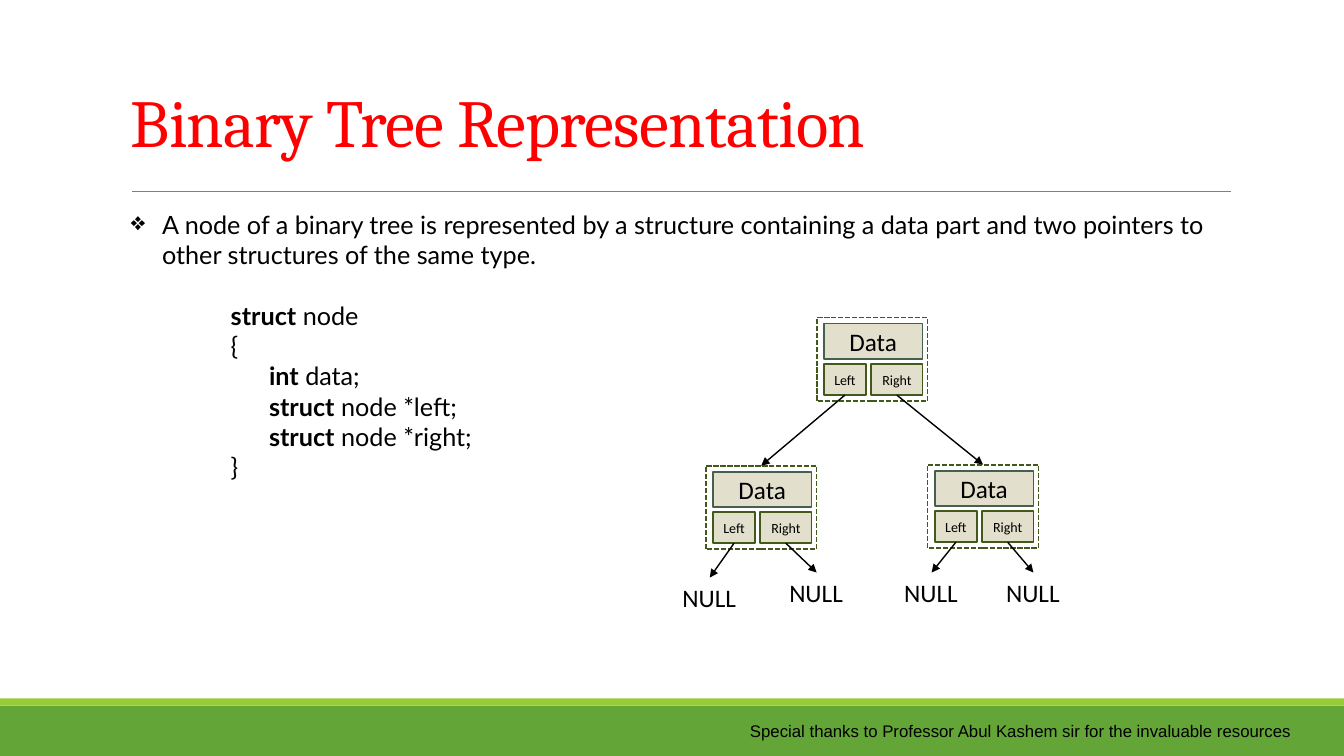
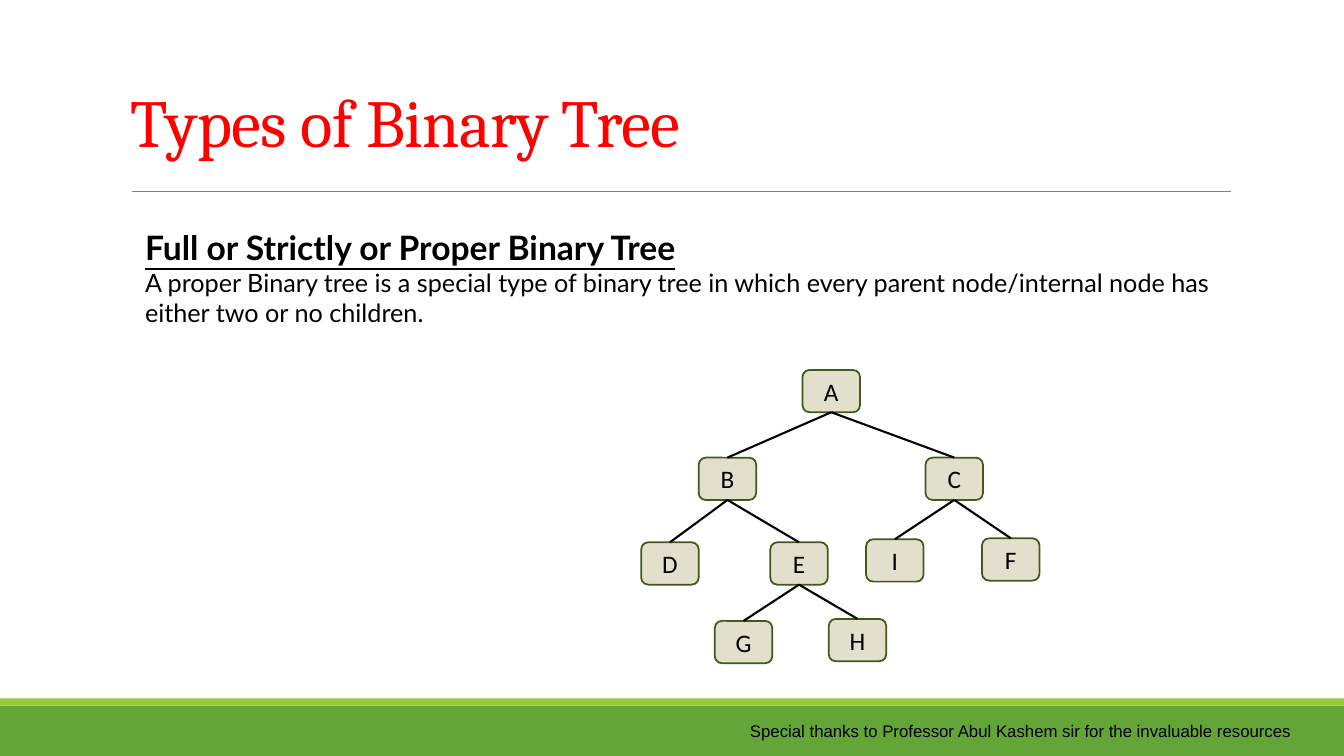
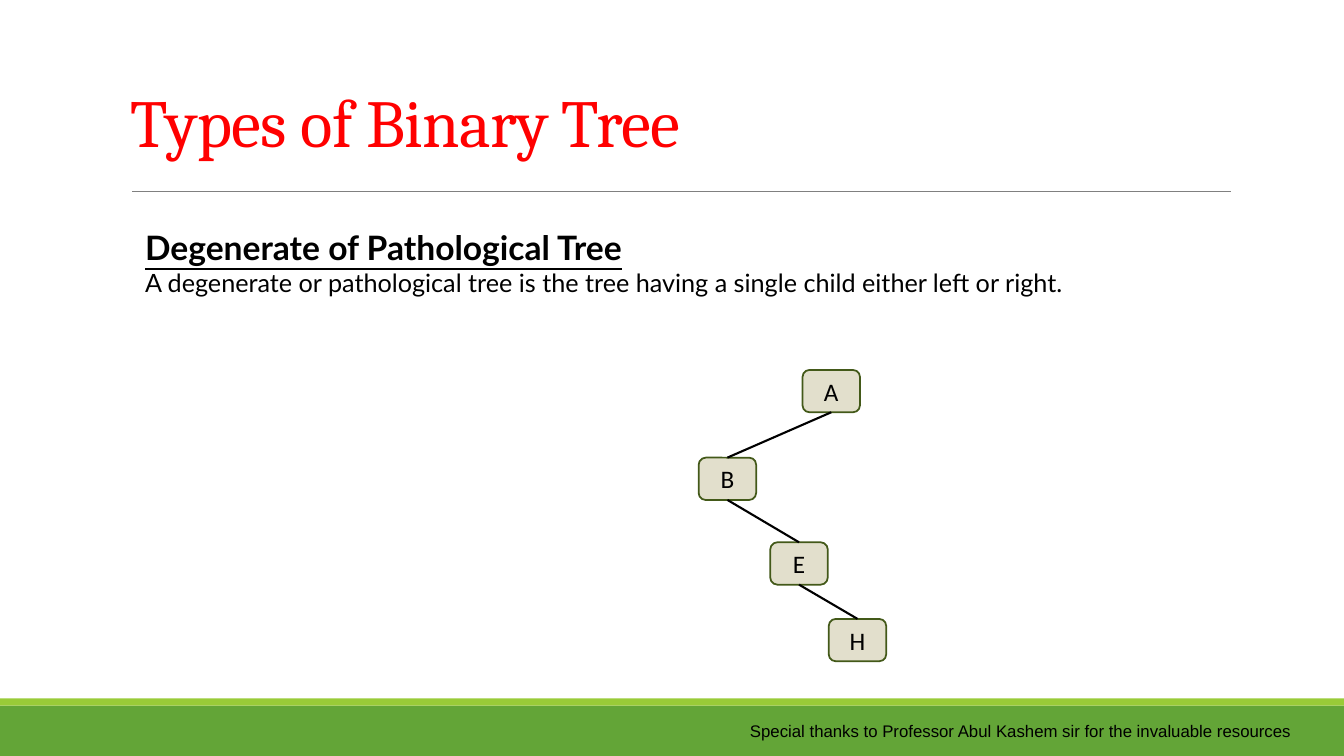
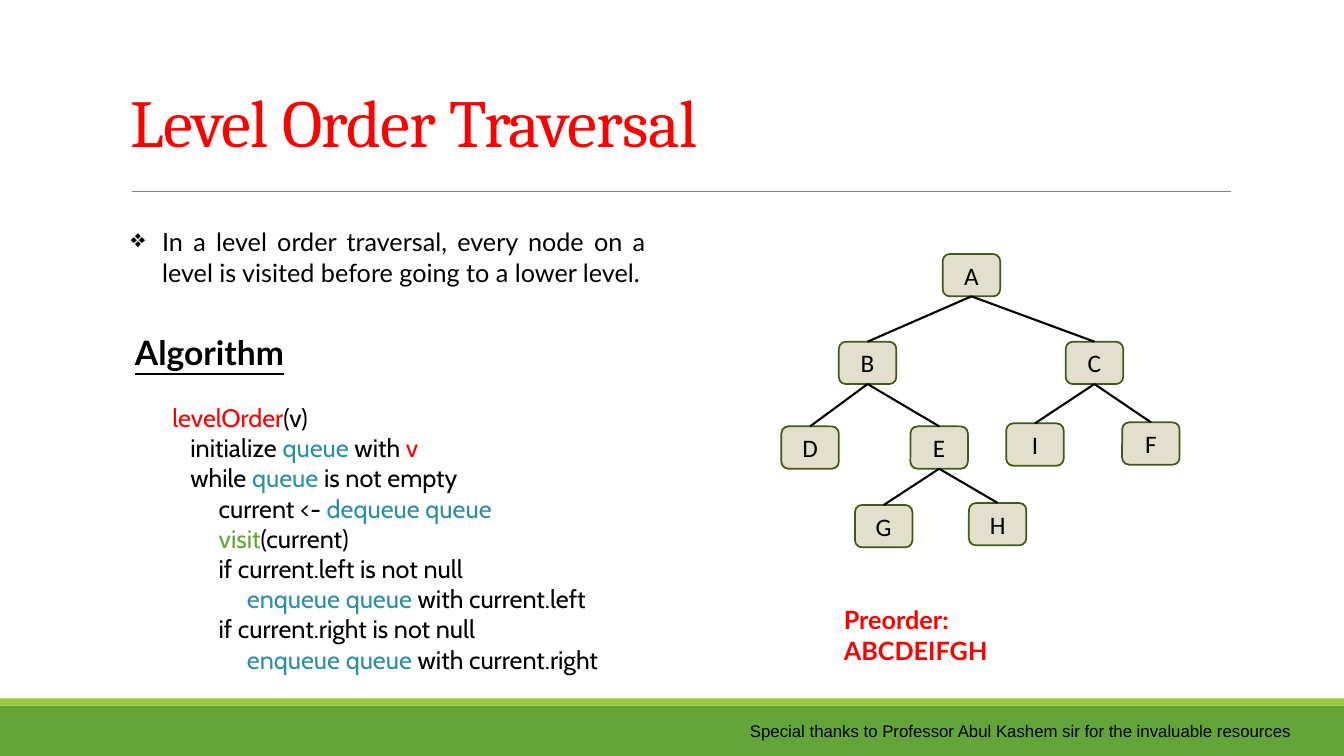
import pptx
import pptx.dml.color
import pptx.enum.dml
import pptx.enum.shapes
import pptx.enum.text
import pptx.oxml.ns
import pptx.util
from dataclasses import dataclass
from lxml import etree

Inches = pptx.util.Inches
Pt = pptx.util.Pt
ALIGN = pptx.enum.text.PP_ALIGN
ANCHOR = pptx.enum.text.MSO_ANCHOR
SHAPE = pptx.enum.shapes.MSO_SHAPE
TOP, BOTTOM = 0, 2

COLOURS = {
    "text": "000000", "title": "FF0000", "rule": "808080",
    "band": "63A537", "stripe": "99CB38",
    "node": "E2DFCC", "border": "435919", "data_border": "455F51",
    "call": "FF0000", "queue": "2E8EA8", "visit": "63A537",
}
LINE_GAP = 21.6
THANKS = "Special thanks to Professor Abul Kashem sir for the invaluable resources"

NODES = {
    "A": (1.6, 0), "B": (0.57, 0.87), "C": (2.82, 0.87),
    "D": (0, 1.71), "E": (1.28, 1.71), "F": (3.38, 1.67), "I": (2.23, 1.68),
    "H": (1.86, 2.47), "G": (0.73, 2.49),
}
FULL_TREE = ["AB", "AC", "BD", "BE", "CF", "CI", "EH", "EG"]
SINGLE_CHILD_TREE = ["AB", "BE", "EH"]


@dataclass
class Run:
    text: str
    size: float = 18
    font: str = "Lato"
    colour: str = "text"
    bold: bool = False
    underline: bool = False
    spacing: float = 0


@dataclass
class Para:
    runs: list
    indent: float = 0
    bullet: str = ""
    before: float = 0
    align: object = ALIGN.LEFT
    line_spacing: float = 1.0


def rgb(name):
    return pptx.dml.color.RGBColor.from_string(COLOURS[name])


def add_xml(parent, tag, **attributes):
    return etree.SubElement(parent, pptx.oxml.ns.qn(tag), attributes)


def write(frame, paras):
    for i, para in enumerate(paras):
        paragraph = frame.paragraphs[0] if i == 0 else frame.add_paragraph()
        paragraph.alignment = para.align
        paragraph.space_before = Pt(para.before)
        paragraph.line_spacing = para.line_spacing
        properties = paragraph._p.get_or_add_pPr()
        properties.set("marL", str(Inches(para.indent)))
        if para.bullet:
            properties.set("indent", str(-Inches(para.indent)))
            add_xml(properties, "a:buChar", char=para.bullet)
        for part in para.runs:
            run = paragraph.add_run()
            run.text = part.text
            run.font.size = Pt(part.size)
            run.font.name = part.font
            run.font.bold = part.bold
            run.font.underline = part.underline
            run.font.color.rgb = rgb(part.colour)
            if part.spacing:
                run._r.get_or_add_rPr().set("spc", str(int(part.spacing * 100)))


def add_text(slide, box, paras, wrap=True, anchor=ANCHOR.TOP):
    text = slide.shapes.add_textbox(*map(Inches, box))
    text.text_frame.word_wrap = wrap
    text.text_frame.vertical_anchor = anchor
    write(text.text_frame, paras)
    return text


def add_block(slide, box, fill=None, border=None, label="", size=18,
              kind=SHAPE.RECTANGLE):
    block = slide.shapes.add_shape(kind, *map(Inches, box))
    block.shadow.inherit = False
    if fill:
        block.fill.solid()
        block.fill.fore_color.rgb = rgb(fill)
    else:
        block.fill.background()
    if border:
        block.line.color.rgb = rgb(border)
        block.line.width = Pt(1.25)
    else:
        block.line.fill.background()
    if label:
        frame = block.text_frame
        frame.margin_left = frame.margin_right = 0
        frame.vertical_anchor = ANCHOR.MIDDLE
        write(frame, [Para([Run(label, size, "Calibri")], align=ALIGN.CENTER)])
    return block


def add_line(slide, start=(0, 0), end=(0, 0), colour="text", width=1.5):
    line = slide.shapes.add_connector(
        pptx.enum.shapes.MSO_CONNECTOR.STRAIGHT, *map(Inches, (*start, *end)))
    line.line.color.rgb = rgb(colour)
    line.line.width = Pt(width)
    add_xml(line._element.spPr, "a:effectLst")
    return line


def link(slide, parent, child, width=1.5, arrow=False):
    """Join the bottom of a parent to the top of its child."""
    edge = add_line(slide, width=width)
    edge.begin_connect(parent, BOTTOM)
    edge.end_connect(child, TOP)
    if arrow:
        add_xml(edge.line._get_or_add_ln(), "a:tailEnd", type="triangle")


def new_slide(deck, title):
    slide = deck.slides.add_slide(deck.slide_layouts[6])
    add_block(slide, (0, 7, 13.33, 0.5), "band")
    add_block(slide, (0, 6.93, 13.33, 0.07), "stripe")
    add_line(slide, (1.31, 1.9), (12.21, 1.9), "rule", 0.5)
    heading = Run(title, 48, "Cambria", "title", spacing=-0.5)
    add_text(slide, (1.2, 0.06, 11, 1.59),
             [Para([heading], line_spacing=0.85)], anchor=ANCHOR.BOTTOM)
    add_text(slide, (7.34, 7.1, 5.73, 0.3),
             [Para([Run(THANKS, 12, "Arial")])], wrap=False)
    return slide


def add_tree(slide, left, top, edges):
    """Draw the lettered nodes that the edges name, parent letter first."""
    nodes = {}
    for letter, (x, y) in NODES.items():
        if letter in "".join(edges):
            nodes[letter] = add_block(
                slide, (left + x, top + y, 0.57, 0.42), "node", "border",
                letter, kind=SHAPE.ROUNDED_RECTANGLE)
    for parent, child in edges:
        link(slide, nodes[parent], nodes[child])


def add_struct_node(slide, left, top):
    """Return the frame of a node and its left and right pointer fields."""
    add_block(slide, (left + 0.07, top + 0.06, 0.98, 0.35),
              "node", "data_border", "Data")
    pointers = [
        add_block(slide, (left + x, top + 0.46, width, 0.31),
                  "node", "border", label, 10)
        for label, x, width in (("Left", 0.07, 0.42), ("Right", 0.54, 0.51))]
    outline = add_block(slide, (left, top, 1.1, 0.83), border="border")
    outline.line.dash_style = pptx.enum.dml.MSO_LINE.SQUARE_DOT
    return outline, pointers


def add_struct_tree(slide, left, top):
    root, root_pointers = add_struct_node(slide, left + 1.43, top)
    children = [(0.33, 1.47, ((0, 2.58), (1.06, 2.53))),
                (2.53, 1.46, ((2.2, 2.53), (3.21, 2.53)))]
    for root_pointer, (x, y, null_places) in zip(root_pointers, children):
        child, pointers = add_struct_node(slide, left + x, top + y)
        link(slide, root_pointer, child, 1, arrow=True)
        for pointer, (null_x, null_y) in zip(pointers, null_places):
            null = add_text(slide, (left + null_x, top + null_y, 0.74, 0.4),
                            [Para([Run("NULL", font="Calibri")])], wrap=False)
            link(slide, pointer, null, 1, arrow=True)


def representation_slide(deck):
    slide = new_slide(deck, "Binary Tree Representation")
    code = [(0.99, "struct", " node"), (0.99, "", "{"), (1.37, "int", " data;"),
            (1.37, "struct", " node *left;"), (1.37, "struct", " node *right;"),
            (0.99, "", "}")]
    paras = [Para([Run("A node of a binary tree is represented by a structure "
                       "containing a data part and two pointers to other "
                       "structures of the same type.")], 0.31, "❖")]
    for i, (indent, keyword, rest) in enumerate(code):
        runs = [Run(keyword, bold=True)] if keyword else []
        paras.append(Para(runs + [Run(rest)], indent,
                          before=LINE_GAP if i == 0 else 0))
    add_text(slide, (1.2, 2.03, 11, 2.83), paras)
    add_struct_tree(slide, 6.67, 3.15)


def tree_type_slide(deck, name, definition, edges):
    slide = new_slide(deck, "Types of Binary Tree")
    add_text(slide, (1.34, 2.2, 10.86, 1.11), [
        Para([Run(name, 24, bold=True, underline=True)]),
        Para([Run(definition)])])
    add_tree(slide, 6.36, 3.67, edges)


def traversal_slide(deck):
    slide = new_slide(deck, "Level Order Traversal")
    add_text(slide, (1.2, 2.2, 5.3, 1.01), [
        Para([Run("In a level order traversal, every node on a level is "
                  "visited before going to a lower level.")],
             0.31, "❖", align=ALIGN.JUSTIFY)])
    steps = [
        (0.37, [("levelOrder", "call"), ("(v)", "text")]),
        (0.55, [("initialize ", "text"), ("queue", "queue"),
                (" with ", "text"), ("v", "call")]),
        (0.55, [("while ", "text"), ("queue", "queue"),
                (" is not empty", "text")]),
        (0.83, [("current <- ", "text"), ("dequeue queue", "queue")]),
        (0.83, [("visit", "visit"), ("(current)", "text")]),
    ]
    for side in ("left", "right"):
        steps += [
            (0.83, [(f"if current.{side} is not null", "text")]),
            (1.11, [("enqueue queue", "queue"),
                    (f" with current.{side}", "text")])]
    paras = [Para([Run("Algorithm", 24, bold=True, underline=True)])]
    for i, (indent, parts) in enumerate(steps):
        paras.append(Para(
            [Run(text, font="Cabin", colour=colour) for text, colour in parts],
            indent, before=LINE_GAP if i == 0 else 0))
    add_text(slide, (1.24, 3.24, 6.02, 3.53), paras)
    add_tree(slide, 7.75, 2.52, FULL_TREE)
    add_text(slide, (8.27, 5.95, 2.65, 0.4), [
        Para([Run("Preorder: ABCDEIFGH", colour="title", bold=True)],
             align=ALIGN.JUSTIFY)])


def main():
    deck = pptx.Presentation()
    deck.slide_width, deck.slide_height = Inches(13.33), Inches(7.5)
    representation_slide(deck)
    tree_type_slide(
        deck, "Full or Strictly or Proper Binary Tree",
        "A proper Binary tree is a special type of binary tree in which every "
        "parent node/internal node has either two or no children.", FULL_TREE)
    tree_type_slide(
        deck, "Degenerate of Pathological Tree",
        "A degenerate or pathological tree is the tree having a single child "
        "either left or right.", SINGLE_CHILD_TREE)
    traversal_slide(deck)
    deck.save("out.pptx")


if __name__ == "__main__":
    main()
